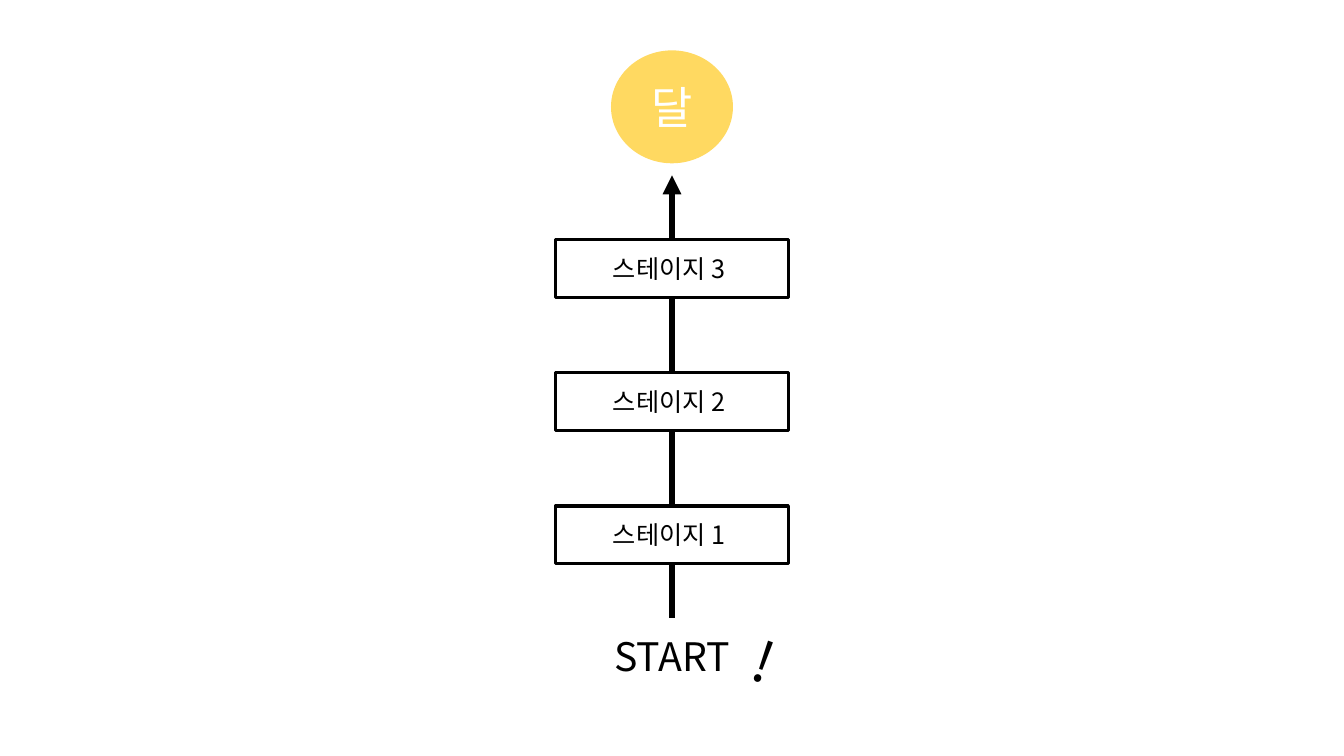
"""Build a slide with a rising path from START through three stages to the moon."""
from dataclasses import dataclass

from lxml import etree
from pptx import Presentation
from pptx.dml.color import RGBColor
from pptx.enum.shapes import MSO_CONNECTOR, MSO_SHAPE
from pptx.enum.text import MSO_ANCHOR, MSO_AUTO_SIZE, PP_ALIGN
from pptx.oxml.ns import qn
from pptx.util import Inches, Pt

STRAIGHT = MSO_CONNECTOR.STRAIGHT
RECTANGLE, OVAL = MSO_SHAPE.RECTANGLE, MSO_SHAPE.OVAL
CENTER, LEFT = PP_ALIGN.CENTER, PP_ALIGN.LEFT
MIDDLE, TOP = MSO_ANCHOR.MIDDLE, MSO_ANCHOR.TOP
GROW = MSO_AUTO_SIZE.SHAPE_TO_FIT_TEXT


@dataclass(frozen=True)
class Theme:
    font: str = "Noto Sans CJK KR"
    ink: RGBColor = RGBColor(0x00, 0x00, 0x00)
    paper: RGBColor = RGBColor(0xFF, 0xFF, 0xFF)
    moon: RGBColor = RGBColor(0xFF, 0xD9, 0x61)
    stage_size: int = 18
    start_size: int = 28
    moon_size: int = 32
    mark_size: int = 40
    path_width: float = 4.5
    border_width: float = 2.25


theme = Theme()


def write(holder, text, size, color, align=CENTER, anchor=MIDDLE):
    frame = holder.text_frame
    frame.word_wrap = True
    frame.vertical_anchor = anchor
    paragraph = frame.paragraphs[0]
    paragraph.alignment = align
    run = paragraph.add_run()
    run.text = text
    run.font.name = theme.font
    run.font.size = Pt(size)
    run.font.color.rgb = color
    etree.SubElement(run.font._element, qn("a:ea"), typeface=theme.font)


def add_step(kind, left, top, width, height, fill):
    step = slide.shapes.add_shape(
        kind, Inches(left), Inches(top), Inches(width), Inches(height))
    step.shadow.inherit = False
    step.fill.solid()
    step.fill.fore_color.rgb = fill
    return step


SLIDE_WIDTH, SLIDE_HEIGHT = 13.33, 7.5
AXIS = SLIDE_WIDTH / 2
PATH_START, PATH_END = 6.13, 1.74
STAGE_WIDTH, STAGE_HEIGHT = 2.31, 0.57
FIRST_STAGE_TOP, STAGE_PITCH = 5.02, 1.32
MOON_WIDTH, MOON_HEIGHT = 1.21, 1.12
START_WIDTH, START_HEIGHT = 1.63, 0.57

deck = Presentation()
deck.slide_width = Inches(SLIDE_WIDTH)
deck.slide_height = Inches(SLIDE_HEIGHT)
slide = deck.slides.add_slide(deck.slide_layouts[6])
slide.background.fill.solid()
slide.background.fill.fore_color.rgb = theme.paper

journey = slide.shapes.add_connector(
    STRAIGHT, Inches(AXIS), Inches(PATH_START), Inches(AXIS), Inches(PATH_END))
journey.line.color.rgb = theme.ink
journey.line.width = Pt(theme.path_width)
etree.SubElement(journey.line._get_or_add_ln(), qn("a:tailEnd"), type="triangle")
etree.SubElement(journey._element.spPr, qn("a:effectLst"))

for index in range(3):
    stage = add_step(RECTANGLE, AXIS - STAGE_WIDTH / 2,
                     FIRST_STAGE_TOP - index * STAGE_PITCH,
                     STAGE_WIDTH, STAGE_HEIGHT, theme.paper)
    stage.line.color.rgb = theme.ink
    stage.line.width = Pt(theme.border_width)
    write(stage, f"스테이지 {index + 1} ", theme.stage_size, theme.ink)

moon = add_step(OVAL, AXIS - MOON_WIDTH / 2, 0.5, MOON_WIDTH, MOON_HEIGHT, theme.moon)
moon.line.fill.background()
write(moon, "달", theme.moon_size, theme.paper)

start = slide.shapes.add_textbox(
    Inches(AXIS - START_WIDTH / 2), Inches(6.22), Inches(START_WIDTH), Inches(START_HEIGHT))
write(start, "START", theme.start_size, theme.ink, anchor=TOP)
start.text_frame.auto_size = GROW

exclamation = slide.shapes.add_textbox(
    Inches(7.37), Inches(6.3), Inches(1.17), Inches(0.77))
exclamation.rotation = 19.5
write(exclamation, "!", theme.mark_size, theme.ink, LEFT, TOP)
exclamation.text_frame.auto_size = GROW

deck.save("out.pptx")
